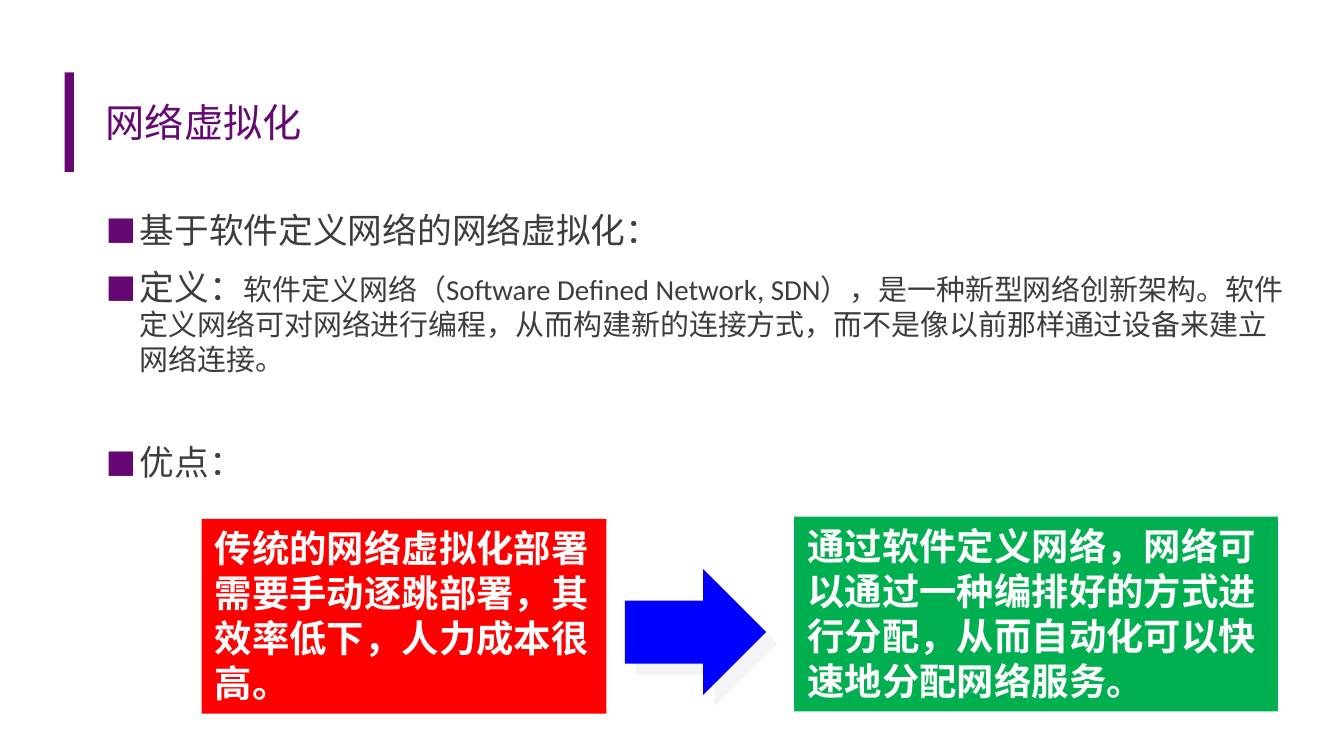
"""Build a slide on network virtualization with software defined networking."""
from lxml.etree import SubElement
from pptx import Presentation
from pptx.dml.color import RGBColor
from pptx.enum.shapes import MSO_SHAPE as Shape
from pptx.enum.text import MSO_ANCHOR as Anchor, PP_ALIGN as Align
from pptx.oxml.ns import qn
from pptx.util import Cm, Pt

PURPLE = RGBColor(0x66, 0x08, 0x74)
GRAY = RGBColor(0x3D, 0x3D, 0x3D)
WHITE = RGBColor(0xFF, 0xFF, 0xFF)
RED = RGBColor(0xFF, 0x00, 0x00)
GREEN = RGBColor(0x00, 0xB0, 0x50)
BLUE = RGBColor(0x00, 0x00, 0xFF)
SHADOW = RGBColor(0xEB, 0xEB, 0xEB)


class SlideBuilder:
    heading_size = Pt(18.6)
    detail_size = Pt(15.5)
    indent = Cm(0.64)

    def __init__(self, page):
        self.page = page

    def style(self, font, size, color, name="Calibri", bold=False):
        font.size, font.name, font.bold = size, name, bold
        font.color.rgb = color

    def shape(self, kind, place, color):
        shape = self.page.shapes.add_shape(kind, *map(Cm, place))
        shape.shadow.inherit = False
        shape.fill.solid()
        shape.fill.fore_color.rgb = color
        shape.line.fill.background()
        return shape

    def text_box(self, place):
        frame = self.page.shapes.add_textbox(*map(Cm, place)).text_frame
        frame.word_wrap = True
        return frame

    def title(self, text, place):
        frame = self.text_box(place)
        frame.vertical_anchor = Anchor.MIDDLE
        para = frame.paragraphs[0]
        para.text = text
        self.style(para.font, Pt(21), PURPLE)

    def bullet(self, para):
        props = para._p.get_or_add_pPr()
        props.set("marL", str(self.indent))
        props.set("indent", str(-self.indent))
        color = SubElement(props, qn("a:buClr"))
        SubElement(color, qn("a:srgbClr"), val=str(PURPLE))
        SubElement(props, qn("a:buSzPct"), val="92000")
        SubElement(props, qn("a:buFont"), typeface="Calibri")
        SubElement(props, qn("a:buChar"), char="■")

    def bullet_list(self, items, place):
        frame = self.text_box(place)
        for index, (heading, detail, space_before) in enumerate(items):
            para = frame.add_paragraph() if index else frame.paragraphs[0]
            para.space_before, para.space_after = Pt(space_before), Pt(4.5)
            self.bullet(para)
            self.style(para.font, self.heading_size, GRAY)
            for text, size in ((heading, self.heading_size), (detail, self.detail_size)):
                if text:
                    span = para.add_run()
                    span.text = text
                    self.style(span.font, size, GRAY)

    def callout(self, text, place, color):
        frame = self.shape(Shape.RECTANGLE, place, color).text_frame
        frame.word_wrap = True
        frame.vertical_anchor = Anchor.TOP
        para = frame.paragraphs[0]
        para.text = text
        para.alignment = Align.LEFT
        self.style(para.font, Pt(20), WHITE, "Times New Roman", True)

    def arrow(self, place, color):
        arrow = self.shape(Shape.RIGHT_ARROW, place, color)
        effects = arrow._element.spPr.find(qn("a:effectLst"))
        shadow = SubElement(effects, qn("a:outerShdw"), blurRad="0",
                            dist=str(Pt(8.5)), dir="2700000", algn="ctr", rotWithShape="0")
        tint = SubElement(shadow, qn("a:srgbClr"), val=str(SHADOW))
        SubElement(tint, qn("a:alpha"), val="50000")


def main():
    deck = Presentation()
    deck.slide_width, deck.slide_height = Cm(25.4), Cm(14.28)
    builder = SlideBuilder(deck.slides.add_slide(deck.slide_layouts[6]))
    builder.shape(Shape.RECTANGLE, (1.22, 1.37, 0.18, 1.88), PURPLE)
    builder.title("网络虚拟化", (1.75, 1.25, 21.92, 2.1))
    builder.bullet_list([
        ("基于软件定义网络的网络虚拟化：", "", 0),
        ("定义：", "软件定义网络（Software Defined Network, SDN），是一种新型网络创新架构。"
         "软件定义网络可对网络进行编程，从而构建新的连接方式，"
         "而不是像以前那样通过设备来建立网络连接。", 3.7),
        ("优点：", "", 30),
    ], (1.75, 3.81, 22.81, 9.07))
    builder.callout("传统的网络虚拟化部署需要手动逐跳部署，其效率低下，人力成本很高。",
                    (3.81, 9.8, 7.65, 3.68), RED)
    builder.callout("通过软件定义网络，网络可以通过一种编排好的方式进行分配，"
                    "从而自动化可以快速地分配网络服务。",
                    (15.01, 9.76, 9.14, 3.68), GREEN)
    builder.arrow((11.81, 10.75, 2.67, 2.38), BLUE)
    deck.save("out.pptx")


if __name__ == "__main__":
    main()
